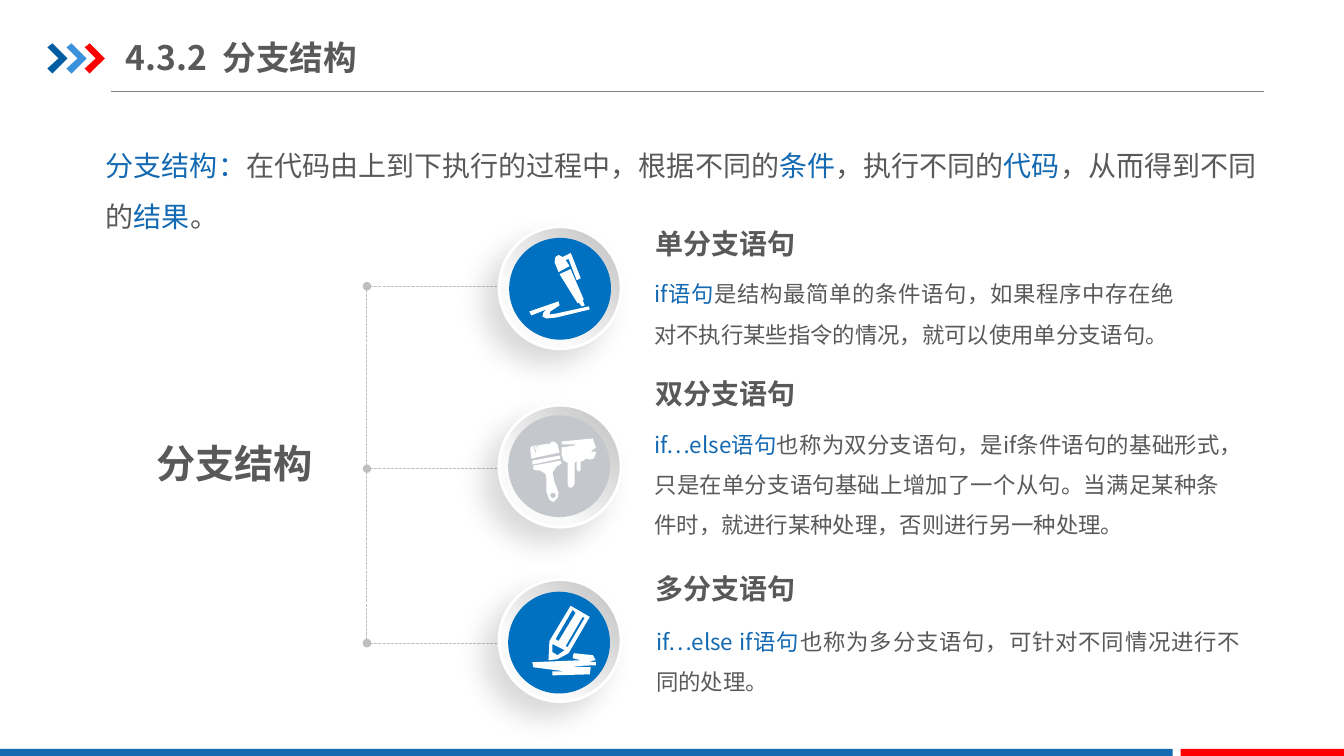
"""Build the slide on branch structures."""
from lxml import etree
from pptx import Presentation
from pptx.dml import color
from pptx.enum import dml, shapes, text
from pptx.oxml import ns
from pptx.util import Inches, Pt

FONT = "Noto Sans CJK SC"
BLUE, GREY, RED, WHITE = "1369B2", "595959", "FF0000", "FFFFFF"
CHEVRON = [(0, 4), (5, 0), (20, 15), (5, 30), (0, 25), (11, 15)]

PEN = [
    [(555, 272), (566, 267), (579, 297), (578, 298), (580, 303), (577, 304), (574, 300), (573, 301)],
    [(525, 309), (527, 313), (542, 307), (539, 310), (538, 314), (542, 316), (552, 315), (585, 307),
     (584, 304), (552, 311), (545, 312), (546, 309), (555, 303), (554, 299)],
    [(558, 255), (554, 253), (551, 255), (550, 260), (554, 270), (565, 264), (561, 258), (564, 257),
     (572, 278), (576, 276), (567, 253), (566, 251)],
]
BRUSHES = [
    [(576, 458), (576, 466), (574, 468), (572, 466), (572, 457), (570, 459), (570, 480), (568, 483),
     (566, 484), (564, 483), (563, 480), (563, 459), (559, 457), (557, 451), (557, 444), (570, 442),
     (571, 441), (557, 441), (557, 438), (588, 435), (591, 444), (587, 447), (586, 448), (591, 448),
     (591, 450), (589, 455), (585, 456), (581, 455), (579, 457)],
    [(528, 457), (555, 452), (556, 455), (528, 461)],
    [(556, 457), (529, 462), (529, 466), (536, 467), (541, 470), (542, 476), (542, 488), (545, 496),
     (549, 498), (553, 494), (554, 489), (550, 478), (548, 469), (552, 463), (557, 460)],
    [(548, 489), (550, 489), (551, 491), (551, 493), (549, 494), (547, 494), (546, 492), (546, 490)],
    [(555, 449), (553, 441), (551, 439), (548, 438), (546, 439), (546, 442), (545, 440), (533, 442),
     (534, 449), (532, 442), (530, 442), (532, 449), (531, 449), (529, 442), (526, 444), (526, 447),
     (527, 455)],
]
PENCIL = [
    [(566, 601), (585, 612), (564, 648), (553, 654), (544, 655), (545, 636)],
    [(585, 669), (586, 662), (565, 661), (591, 660), (591, 657), (584, 656), (591, 655), (588, 650),
     (569, 648), (568, 653), (576, 655), (528, 657), (529, 662), (560, 666), (548, 666), (548, 670)],
    [(553, 650), (560, 645), (548, 639), (548, 647)],
    [(578, 612), (561, 641), (563, 642), (580, 613)],
    [(568, 605), (551, 634), (554, 636), (571, 608)],
]

BRANCHES = [
    dict(line=2.84, ring=2.25, disc=(5.05, 2.36), fill="0070C0", icon=PEN,
         title="单分支语句", title_top=2.25, body=(6.49, 2.65, 5.16, 0.81),
         runs=[("if语句", BLUE),
               ("是结构最简单的条件语句，如果程序中存在绝对不执行某些指令的情况，就可以使用单分支语句。", GREY)]),
    dict(line=4.65, ring=4.02, disc=(5.04, 4.12), fill="C4C7CB", icon=BRUSHES,
         title="双分支语句", title_top=3.74, body=(6.49, 4.14, 5.61, 1.21),
         runs=[("if…else语句", BLUE),
               ("也称为双分支语句，是if条件语句的基础形式，只是在单分支语句基础上增加了一个从句。"
                "当满足某种条件时，就进行某种处理，否则进行另一种处理。", GREY)]),
    dict(line=6.38, ring=5.75, disc=(5.04, 5.87), fill="0070C0", icon=PENCIL,
         title="多分支语句", title_top=5.67, body=(6.51, 6.1, 5.8, 0.81),
         runs=[("if…else if语句", BLUE),
               ("也称为多分支语句，可针对不同情况进行不同的处理。", GREY)]),
]
DEFINITION = [
    ("分支结构：", BLUE), ("在代码由上到下执行的过程中，根据不同的", GREY), ("条件", BLUE),
    ("，执行不同的", GREY), ("代码", BLUE), ("，从而得到不同的", GREY), ("结果", BLUE), ("。", GREY),
]


def rgb(value):
    """Return the colour for a hex string."""
    return color.RGBColor.from_string(value)


def child(parent, tag, **attributes):
    """Append a DrawingML element and return it."""
    return etree.SubElement(parent, ns.qn(tag), attributes)


def paint(shape, fill):
    """Give a shape a plain fill without line or shadow."""
    shape.shadow.inherit = False
    shape.fill.solid()
    shape.fill.fore_color.rgb = rgb(fill)
    shape.line.fill.background()


def add_solid(page, kind, place, fill):
    """Add a preset shape with a plain fill."""
    paint(page.shapes.add_shape(kind, *map(Inches, place)), fill)


def add_outline(page, contours, fill):
    """Add a freeform from contours given in hundredths of an inch."""
    builder = None
    for contour in contours:
        start, *rest = [(Inches(x / 100), Inches(y / 100)) for x, y in contour]
        if builder is None:
            builder = page.shapes.build_freeform(*start)
        else:
            builder.move_to(*start)
        builder.add_line_segments(rest, close=True)
    paint(builder.convert_to_shape(), fill)


def add_line(page, ends, stroke, dotted=False):
    """Add a thin line, dotted with round ends if asked."""
    line = page.shapes.add_connector(shapes.MSO_CONNECTOR.STRAIGHT, *map(Inches, ends))
    line.line.color.rgb = rgb(stroke)
    line.line.width = Pt(0.75)
    if dotted:
        line.line.dash_style = dml.MSO_LINE.SQUARE_DOT
        for tag in ("a:headEnd", "a:tailEnd"):
            child(line.line._get_or_add_ln(), tag, type="oval")
    child(line._element.spPr, "a:effectLst")


def add_ring(page, top):
    """Add the raised circle that holds an icon."""
    ring = page.shapes.add_shape(shapes.MSO_SHAPE.OVAL, *map(Inches, (4.95, top, 1.21, 1.21)))
    ring.fill.gradient()
    ring.fill.gradient_angle = 225
    for stop, (position, shade) in zip(ring.fill.gradient_stops, [(0, "BFBFBF"), (0.7, "FAFAFA")]):
        stop.position = position
        stop.color.rgb = rgb(shade)
    ring.line.color.rgb = rgb(WHITE)
    ring.line.width = Pt(2)
    ring.shadow.inherit = False
    effects = ring._element.spPr.find(ns.qn("a:effectLst"))
    shadow = child(effects, "a:outerShdw", blurRad=str(Pt(20)), dist=str(Pt(15)),
                   dir="8100000", algn="tr", rotWithShape="0")
    child(child(shadow, "a:srgbClr", val="000000"), "a:alpha", val="15000")


def add_text(page, place, runs, size, bold=False, spacing=None, align=None, inset=(0, 0), anchor=None):
    """Add a text box holding one paragraph of coloured runs."""
    box = page.shapes.add_textbox(*map(Inches, place))
    frame = box.text_frame
    frame.word_wrap = True
    frame.margin_left = frame.margin_right = Inches(inset[0])
    frame.margin_top = frame.margin_bottom = Inches(inset[1])
    frame.vertical_anchor = anchor
    para = frame.paragraphs[0]
    para.line_spacing = spacing
    para.alignment = align
    for words, shade in runs:
        span = para.add_run()
        span.text = words
        span.font.size = Pt(size)
        span.font.bold = bold
        span.font.name = FONT
        span.font.color.rgb = rgb(shade)
        child(span._r.get_or_add_rPr(), "a:ea", typeface=FONT)


def add_frame(page):
    """Add the heading rule, chevrons and footer bars."""
    add_line(page, (1.1, 0.91, 12.54, 0.91), "808080")
    for left, fill in [(47, "005DA2"), (66, "3992DB"), (84, RED)]:
        add_outline(page, [[(left + x, 43 + y) for x, y in CHEVRON]], fill)
    for left, width, fill in [(0, 11.63, BLUE), (11.71, 1.63, RED)]:
        add_solid(page, shapes.MSO_SHAPE.RECTANGLE, (left, 7.43, width, 0.09), fill)


def add_branch(page, branch):
    """Add one branch with its icon, title and explanation."""
    add_line(page, (5.58, branch["line"], 3.64, branch["line"]), "BFBFBF", dotted=True)
    add_ring(page, branch["ring"])
    add_solid(page, shapes.MSO_SHAPE.OVAL, (*branch["disc"], 1.01, 1.01), branch["fill"])
    add_outline(page, branch["icon"], WHITE)
    add_text(page, (6.5, branch["title_top"], 2.17, 0.36), [(branch["title"], GREY)], 20, bold=True)
    add_text(page, branch["body"], branch["runs"], 16, spacing=1.5, align=text.PP_ALIGN.JUSTIFY)


def main():
    """Build and save the slide."""
    deck = Presentation()
    deck.slide_width, deck.slide_height = Inches(13.33), Inches(7.5)
    page = deck.slides.add_slide(deck.slide_layouts[6])
    add_frame(page)
    add_text(page, (1.25, 0.29, 4.26, 0.55), [("4.3.2  分支结构", GREY)], 24, bold=True,
             inset=(0, 0.07), anchor=text.MSO_ANCHOR.MIDDLE)
    add_line(page, (3.64, BRANCHES[0]["line"], 3.64, BRANCHES[-1]["line"]), "BFBFBF", dotted=True)
    for branch in BRANCHES:
        add_branch(page, branch)
    add_text(page, (1.55, 4.36, 1.68, 0.48), [("分支结构", GREY)], 28, bold=True)
    add_text(page, (0.92, 1.24, 11.78, 1.14), DEFINITION, 20, spacing=1.5, inset=(0.13, 0.07))
    deck.save("out.pptx")


if __name__ == "__main__":
    main()
